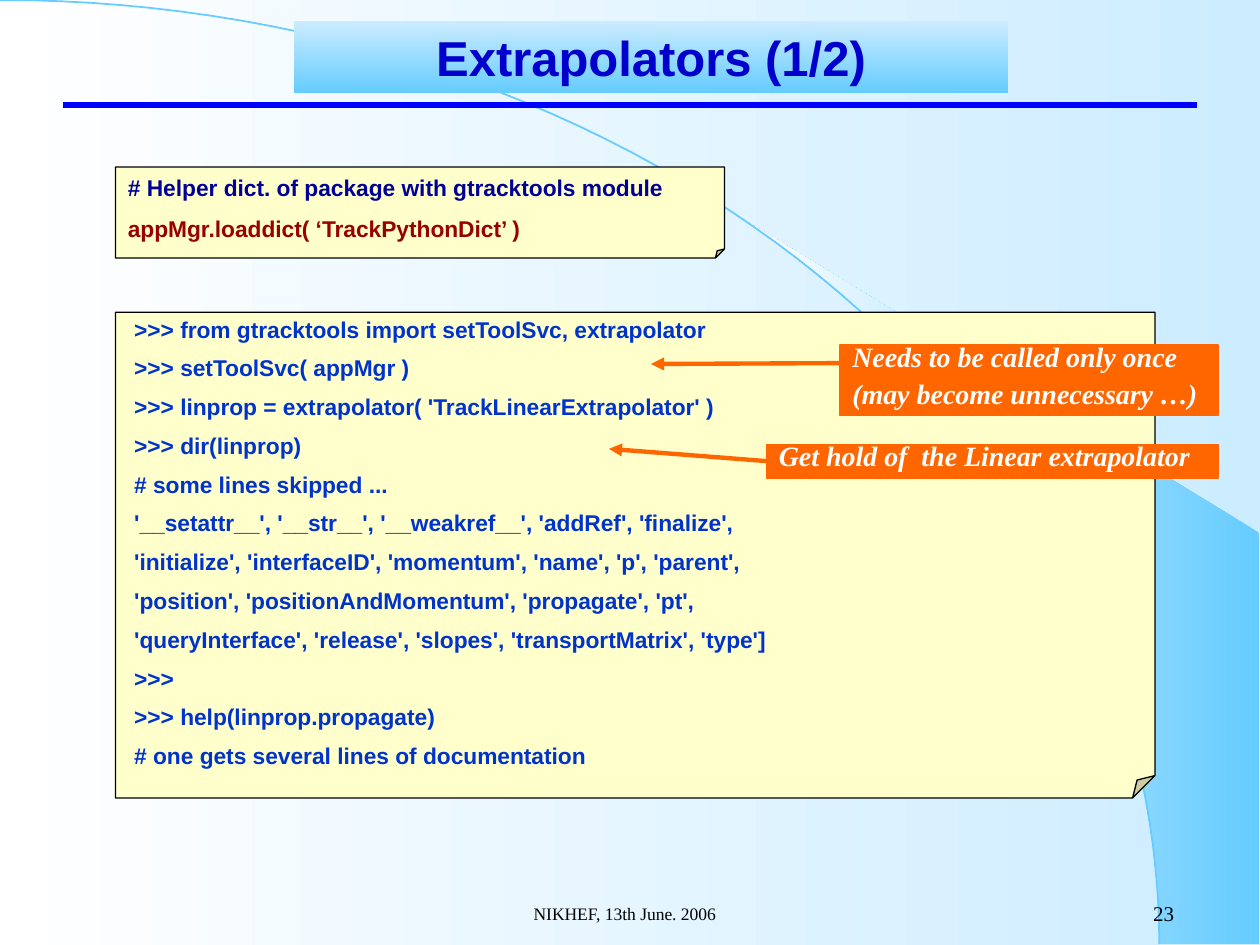
from dataclasses import dataclass
from math import acos, cos, pi, sin
from typing import Optional

from lxml.etree import SubElement
from pptx import Presentation
from pptx.dml.color import RGBColor
from pptx.enum.shapes import MSO_CONNECTOR, MSO_SHAPE
from pptx.enum.text import MSO_ANCHOR, PP_ALIGN
from pptx.oxml.ns import qn
from pptx.util import Pt

COLORS = {
    "pale": "CCECFF", "sky": "66CCFF", "white": "FFFFFF", "rule": "0000FF",
    "title": "0000CC", "note": "FFFFCC", "black": "000000", "code": "0033CC",
    "comment": "000099", "call": "990000", "orange": "FF6600",
}
WIDTH, HEIGHT = 720, 540
ARC_WIDTH, ARC_HEIGHT = 662.5, 539.5
SANS, SERIF = "Arial", "Times New Roman"


@dataclass
class Style:
    font: str
    size: float
    color: str
    bold: bool = False
    italic: bool = False
    align: PP_ALIGN = PP_ALIGN.LEFT
    anchor: MSO_ANCHOR = MSO_ANCHOR.TOP
    line_spacing: float = 1.0
    space_before: float = 0


@dataclass
class Panel:
    box: tuple[float, float, float, float]
    lines: list[str]
    style: Style
    fill: Optional[str] = None
    line: Optional[str] = None
    line_width: float = 1
    fold: Optional[float] = None
    line_colors: tuple[str, ...] = ()


def rgb(name: str) -> RGBColor:
    return RGBColor.from_string(COLORS[name])


def set_gradient(fill, first: str, last: str, angle: float) -> None:
    fill.gradient()
    fill.gradient_angle = angle
    for stop, name, position in zip(fill.gradient_stops, (first, last), (0, 1)):
        stop.color.rgb = rgb(name)
        stop.position = position


def set_fold(shape, fold: float) -> None:
    """Set the corner size, which python-pptx does not list as an adjustment."""
    geometry = shape._element.spPr.find(qn("a:prstGeom"))
    values = geometry.find(qn("a:avLst"))
    if values is None:
        values = SubElement(geometry, qn("a:avLst"))
    SubElement(values, qn("a:gd"), name="adj", fmla=f"val {round(fold * 100000)}")


def write_text(shape, panel: Panel) -> None:
    style = panel.style
    frame = shape.text_frame
    frame.word_wrap = True
    frame.vertical_anchor = style.anchor
    for index, text in enumerate(panel.lines):
        paragraph = frame.add_paragraph() if index else frame.paragraphs[0]
        paragraph.text = text
        paragraph.alignment = style.align
        paragraph.line_spacing = style.line_spacing
        paragraph.space_before = Pt(style.space_before if index else 0)
        font = paragraph.font
        font.name, font.size = style.font, Pt(style.size)
        font.bold, font.italic = style.bold, style.italic
        color = panel.line_colors[index] if panel.line_colors else style.color
        font.color.rgb = rgb(color)


def add_panel(slide, panel: Panel):
    box = [Pt(length) for length in panel.box]
    kind = MSO_SHAPE.RECTANGLE if panel.fold is None else MSO_SHAPE.FOLDED_CORNER
    shape = slide.shapes.add_shape(kind, *box)
    shape.shadow.inherit = False
    if panel.fold is not None:
        set_fold(shape, panel.fold)
    if panel.fill:
        shape.fill.solid()
        shape.fill.fore_color.rgb = rgb(panel.fill)
    if panel.line:
        shape.line.color.rgb = rgb(panel.line)
        shape.line.width = Pt(panel.line_width)
    else:
        shape.line.fill.background()
    write_text(shape, panel)
    return shape


def add_label(slide, panel: Panel) -> None:
    write_text(slide.shapes.add_textbox(*(Pt(length) for length in panel.box)), panel)


def add_line(slide, start, end, color: str, width: float, arrow: bool = False):
    points = [Pt(length) for length in (*start, *end)]
    connector = slide.shapes.add_connector(MSO_CONNECTOR.STRAIGHT, *points)
    connector.line.color.rgb = rgb(color)
    connector.line.width = Pt(width)
    if arrow:
        SubElement(connector.line._get_or_add_ln(), qn("a:tailEnd"), type="triangle")
    SubElement(connector._element.spPr, qn("a:effectLst"))
    return connector


def arc_points(start_angle: float, steps: int) -> list[tuple[float, float]]:
    """Points on the background ellipse, from start_angle down to its right end."""
    angles = [start_angle * (1 - step / steps) for step in range(steps + 1)]
    return [(ARC_WIDTH * cos(a), ARC_HEIGHT * (1 - sin(a))) for a in angles]


def add_outline(slide, points: list[tuple[float, float]], close: bool):
    emu_points = [(Pt(x), Pt(y)) for x, y in points]
    builder = slide.shapes.build_freeform(*emu_points[0])
    builder.add_line_segments(emu_points[1:], close=close)
    shape = builder.convert_to_shape()
    shape.shadow.inherit = False
    return shape


def build() -> None:
    presentation = Presentation()
    presentation.slide_width, presentation.slide_height = Pt(WIDTH), Pt(HEIGHT)
    slide = presentation.slides.add_slide(presentation.slide_layouts[6])

    # Background with wedge, arc and rule
    set_gradient(slide.background.fill, "pale", "white", 180)
    wedge_points = arc_points(acos(0.64), 16) + [(719.5, 539.5), (719.5, 304.5)]
    wedge = add_outline(slide, wedge_points, close=True)
    set_gradient(wedge.fill, "sky", "white", 180)
    wedge.line.fill.background()
    arc = add_outline(slide, arc_points(pi / 2, 60), close=False)
    arc.fill.background()
    arc.line.color.rgb = rgb("sky")
    arc.line.width = Pt(1)
    add_line(slide, (36, 60), (684, 60), "rule", 3)

    # Title
    title_style = Style(SANS, 28, "title", bold=True, align=PP_ALIGN.CENTER)
    title = add_panel(slide, Panel((168, 12, 408, 41), ["Extrapolators (1/2)"], title_style))
    set_gradient(title.fill, "pale", "sky", 270)

    # Code notes
    code_style = Style(SANS, 13, "code", bold=True, anchor=MSO_ANCHOR.MIDDLE,
                       line_spacing=0.9, space_before=8.1)
    session = [
        " >>> from gtracktools import setToolSvc, extrapolator",
        " >>> setToolSvc( appMgr )",
        " >>> linprop = extrapolator( 'TrackLinearExtrapolator' )",
        " >>> dir(linprop)",
        " # some lines skipped ...",
        " '__setattr__', '__str__', '__weakref__', 'addRef', 'finalize',",
        " 'initialize', 'interfaceID', 'momentum', 'name', 'p', 'parent',",
        " 'position', 'positionAndMomentum', 'propagate', 'pt',",
        " 'queryInterface', 'release', 'slopes', 'transportMatrix', 'type']",
        " >>>",
        " >>> help(linprop.propagate)",
        " # one gets several lines of documentation",
    ]
    add_panel(slide, Panel((66, 178.5, 594, 277.5), session, code_style,
                           "note", "black", 0.75, 0.046))
    helper_style = Style(SANS, 13, "comment", bold=True, anchor=MSO_ANCHOR.MIDDLE,
                         space_before=8.1)
    helper = ["# Helper dict. of package with gtracktools module",
              "appMgr.loaddict( ‘TrackPythonDict’ )"]
    add_panel(slide, Panel((66, 95.5, 348, 52), helper, helper_style,
                           "note", "black", 0.75, 0.1, ("comment", "call")))

    # Callouts with arrows
    callout_style = Style(SERIF, 16, "white", bold=True, italic=True,
                          line_spacing=0.6, space_before=10)
    once = ["Needs to be called only once", "(may become unnecessary …)"]
    add_panel(slide, Panel((480, 197, 216, 40.5), once, callout_style, "orange", "orange"))
    add_line(slide, (480, 207.5), (372, 208), "orange", 2.5, arrow=True)
    hold = add_panel(slide, Panel((438, 254, 258, 19), ["Get hold of  the Linear extrapolator"],
                                  callout_style, "orange", "orange"))
    pointer = add_line(slide, (438, 263.5), (348, 256.5), "orange", 2.5, arrow=True)
    pointer.begin_connect(hold, 1)

    # Footer and slide number
    footer_style = Style(SERIF, 10, "black", align=PP_ALIGN.CENTER, anchor=MSO_ANCHOR.MIDDLE)
    number_style = Style(SERIF, 12, "black", align=PP_ALIGN.RIGHT, anchor=MSO_ANCHOR.MIDDLE)
    add_label(slide, Panel((210, 504, 294, 36), ["NIKHEF, 13th June. 2006"], footer_style))
    add_label(slide, Panel((528, 504, 150, 36), ["23"], number_style))

    presentation.save("out.pptx")


if __name__ == "__main__":
    build()
